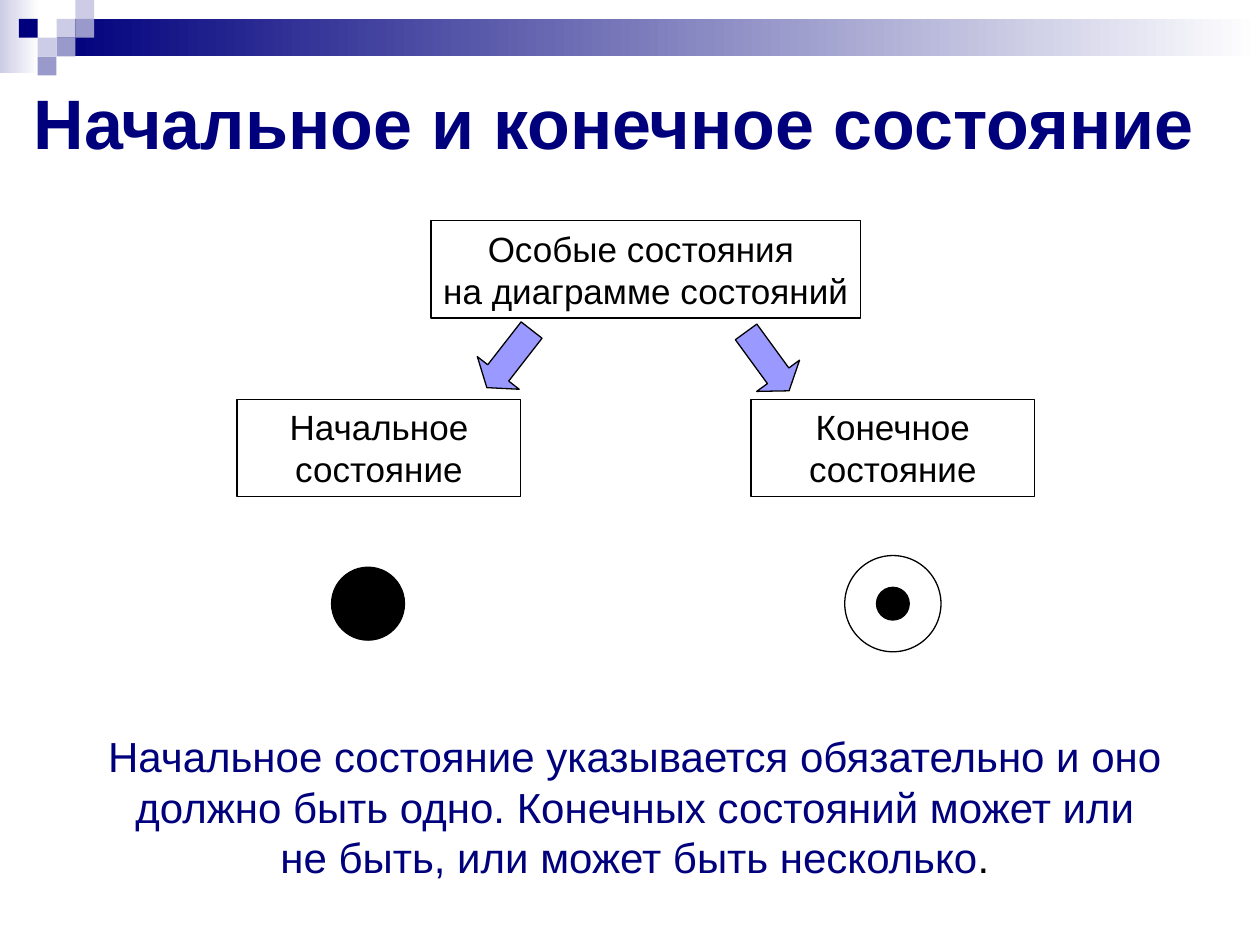
from pptx import Presentation
from pptx.dml.color import RGBColor
from pptx.enum import shapes, text
from pptx.util import Cm, Pt

NAVY = RGBColor(0x00, 0x00, 0x7D)
PALE = RGBColor(0xCC, 0xCC, 0xE6)
LILAC = RGBColor(0x99, 0x99, 0xCC)
ARROW = RGBColor(0x99, 0x99, 0xFF)
BLACK = RGBColor(0, 0, 0)
WHITE = RGBColor(0xFF, 0xFF, 0xFF)
FONT = "Arial"
KIND = shapes.MSO_SHAPE
CENTER = text.PP_ALIGN.CENTER


def add_figure(slide, kind, box, fill=None, line=None):
    figure = slide.shapes.add_shape(kind, *map(Cm, box))
    figure.shadow.inherit = False
    if fill is None:
        figure.fill.background()
    else:
        figure.fill.solid()
        figure.fill.fore_color.rgb = fill
    if line is None:
        figure.line.fill.background()
    else:
        figure.line.color.rgb = line
        figure.line.width = Pt(0.75)
    return figure


def set_frame(frame, wrap=True, anchor=text.MSO_ANCHOR.TOP):
    layout = {"word_wrap": wrap, "vertical_anchor": anchor,
              "auto_size": text.MSO_AUTO_SIZE.NONE,
              "margin_left": Cm(0.25), "margin_right": Cm(0.25),
              "margin_top": Cm(0.13), "margin_bottom": Cm(0.13)}
    for name, value in layout.items():
        setattr(frame, name, value)


def add_run(paragraph, words, size, color, bold=False):
    run = paragraph.add_run()
    run.text = words
    style = {"name": FONT, "size": Pt(size), "bold": bold}
    for name, value in style.items():
        setattr(run.font, name, value)
    run.font.color.rgb = color


def add_header(slide, left, top, width):
    """Gradient bands with a mosaic of small squares."""
    cell = 0.38
    bands = [((left, top, 0.79, 1.47), PALE),
             ((left + 3 * cell, top + cell, width - 3 * cell, 0.76), NAVY)]
    for box, start in bands:
        band = add_figure(slide, KIND.RECTANGLE, box, WHITE)
        band.fill.gradient()
        band.fill.gradient_angle = 0
        for stop, color, position in zip(band.fill.gradient_stops, (start, WHITE), (0, 1)):
            stop.color.rgb = color
            stop.position = position

    mosaic = [(3, 1, PALE), (4, 0, PALE), (4, 1, LILAC), (2, 2, PALE),
              (1, 1, NAVY), (3, 2, LILAC), (2, 3, LILAC)]
    for column, row, color in mosaic:
        add_figure(slide, KIND.RECTANGLE,
                   (left + column * cell, top + row * cell, cell, cell), color)


def set_title(slide, box, words):
    title = slide.shapes.title
    title.left, title.top, title.width, title.height = map(Cm, box)
    set_frame(title.text_frame, anchor=text.MSO_ANCHOR.MIDDLE)
    heading = title.text_frame.paragraphs[0]
    heading.alignment = text.PP_ALIGN.LEFT
    add_run(heading, words, 40, NAVY, bold=True)


def add_label(slide, box, lines, wrap=True):
    label = add_figure(slide, KIND.RECTANGLE, box, line=BLACK)
    frame = label.text_frame
    set_frame(frame, wrap)
    for index, words in enumerate(lines):
        paragraph = frame.add_paragraph() if index else frame.paragraphs[0]
        paragraph.alignment = CENTER
        add_run(paragraph, words, 20, BLACK)


def add_circle(slide, center_x, center_y, size, fill=None):
    add_figure(slide, KIND.OVAL,
               (center_x - size / 2, center_y - size / 2, size, size), fill, BLACK)


def add_state_tree(slide, left, top):
    """Root label, two arrows, two child labels and their symbols."""
    height, child_width, child_top = 1.96, 5.72, top + 3.6
    start_left, end_left = left, left + 10.36
    add_label(slide, (left + 3.91, top, 8.66, height),
              ["Особые состояния ", "на диаграмме состояний"], wrap=False)
    add_label(slide, (start_left, child_top, child_width, height), ["Начальное состояние"])
    add_label(slide, (end_left, child_top, child_width, height), ["Конечное состояние"])

    # Arrows to the children
    for x, y, angle in [(4.95, 2.05, 37.9), (10.16, 2.1, 323.9)]:
        arrow = add_figure(slide, KIND.DOWN_ARROW, (left + x, top + y, 1.07, 1.47), ARROW, BLACK)
        arrow.adjustments[1] = 0.35
        arrow.rotation = angle

    # Start and end symbols
    symbol_y = top + 7.72
    end_x = end_left + child_width / 2
    add_circle(slide, left + 2.64, symbol_y, 1.47, BLACK)
    add_circle(slide, end_x, symbol_y, 0.66, BLACK)
    add_circle(slide, end_x, symbol_y, 1.94)


def add_rule(slide, box, words):
    frame = slide.shapes.add_textbox(*map(Cm, box)).text_frame
    set_frame(frame)
    rule = frame.paragraphs[0]
    rule.alignment = CENTER
    add_run(rule, words, 24, NAVY)
    add_run(rule, ".", 24, BLACK)


def main():
    deck = Presentation()
    deck.slide_width, deck.slide_height = Cm(25.4), Cm(19.05)
    slide = deck.slides.add_slide(deck.slide_layouts[5])
    add_header(slide, 0, 0, 25.4)
    set_title(slide, (0.43, 1.27, 24.97, 2.34), "Начальное и конечное состояние")
    add_state_tree(slide, 4.78, 4.45)
    add_rule(slide, (1.9, 14.6, 21.8, 3.3),
             "Начальное состояние указывается обязательно и оно должно быть одно. "
             "Конечных состояний может или не быть, или может быть несколько")
    deck.save("out.pptx")


if __name__ == "__main__":
    main()
